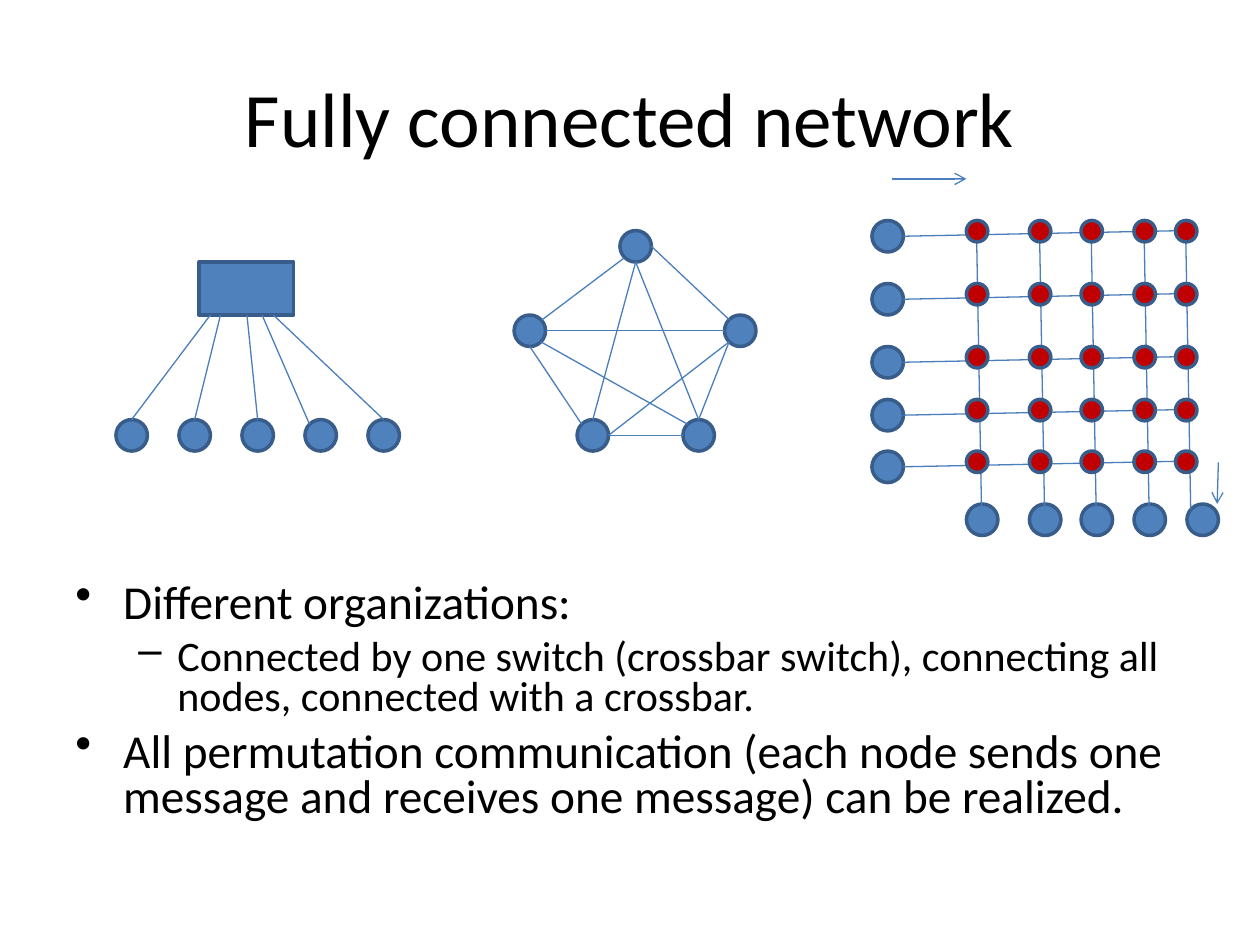
import math

from lxml import etree
from pptx import Presentation
from pptx import util as u
from pptx.dml import color
from pptx.enum import shapes, text
from pptx.oxml import ns

FONT = "Calibri"
BLACK, NODE, OUTLINE, LINK, CROSSPOINT = "000000", "4F81BD", "385D8A", "4A7EBB", "C00000"
NODE_SIZE, CROSSPOINT_SIZE = 0.25, 0.17
ANGLES = {"E": 0, "SE": 45, "S": 90, "SW": 135, "W": 180, "NW": 225, "N": 270}


def rgb(value):
    """Turn a hex string into a colour."""
    return color.RGBColor.from_string(value)


def add_block(slide, kind, left, top, width, height, fill=NODE):
    """Draw an outlined, filled shape."""
    block = slide.shapes.add_shape(kind, *map(u.Inches, (left, top, width, height)))
    block.shadow.inherit = False
    block.fill.solid()
    block.fill.fore_color.rgb = rgb(fill)
    block.line.color.rgb = rgb(OUTLINE)
    block.line.width = u.Pt(2)


def add_circle(slide, left, top, size=NODE_SIZE, fill=NODE):
    """Draw a round node or crosspoint."""
    add_block(slide, shapes.MSO_SHAPE.OVAL, left, top, size, size, fill)


def add_link(slide, start, end, arrow=False):
    """Draw a thin straight line, with an optional open arrowhead at its end."""
    link = slide.shapes.add_connector(
        shapes.MSO_CONNECTOR.STRAIGHT, *map(u.Inches, (*start, *end)))
    link.line.color.rgb = rgb(LINK)
    link.line.width = u.Pt(0.75)
    if arrow:
        etree.SubElement(link.line._get_or_add_ln(), ns.qn("a:tailEnd"), type="arrow")
    etree.SubElement(link._element.spPr, ns.qn("a:effectLst"))


def rim(left, top, side):
    """Give the point on a node's rim at a compass side."""
    radius, angle = NODE_SIZE / 2, math.radians(ANGLES[side])
    return (left + radius + radius * math.cos(angle),
            top + radius + radius * math.sin(angle))


def format_run(paragraph, size):
    """Set the font of a paragraph's runs."""
    for run in paragraph.runs:
        run.font.name = FONT
        run.font.size = u.Pt(size)
        run.font.color.rgb = rgb(BLACK)


def place_title(slide, left, top, width, height):
    """Place and format the slide title."""
    title = slide.shapes.title
    title.left, title.top, title.width, title.height = map(
        u.Inches, (left, top, width, height))
    title.text_frame.text = "Fully connected network"
    title.text_frame.vertical_anchor = text.MSO_ANCHOR.MIDDLE
    heading = title.text_frame.paragraphs[0]
    heading.alignment = text.PP_ALIGN.CENTER
    format_run(heading, 44)


def draw_switch_star(slide, left, top):
    """Draw one switch linked to five nodes below it."""
    add_block(slide, shapes.MSO_SHAPE.RECTANGLE, left + 0.66, top, 0.75, 0.42)
    node_top = top + 1.25
    ports = zip((0.75, 0.83, 1.04, 1.16, 1.25), ("N", "N", "N", "NW", "N"))
    for index, (port, side) in enumerate(ports):
        node_left = left + 0.5 * index
        add_circle(slide, node_left, node_top)
        add_link(slide, rim(node_left, node_top, side), (left + port, top + 0.42))


def draw_pentagon(slide, left, top):
    """Draw five nodes, each linked to all the others."""
    offsets = {"top": (0.84, 0), "right": (1.67, 0.67), "left": (0, 0.67),
               "low left": (0.5, 1.5), "low right": (1.34, 1.5)}
    nodes = {name: (left + x, top + y) for name, (x, y) in offsets.items()}
    links = [
        ("left", "S", "low left", "NW"),
        ("low left", "E", "low right", "W"),
        ("top", "E", "right", "NW"),
        ("low right", "N", "right", "SW"),
        ("left", "E", "right", "W"),
        ("left", "SE", "low right", "NW"),
        ("low left", "N", "top", "S"),
        ("low left", "E", "right", "SW"),
        ("top", "S", "low right", "N"),
    ]
    for node in nodes.values():
        add_circle(slide, *node)
    add_link(slide, (left + 0.22, top + 0.71), (left + 0.87, top + 0.22))
    for start, start_side, end, end_side in links:
        add_link(slide, rim(*nodes[start], start_side), rim(*nodes[end], end_side))


def draw_crossbar(slide, left, top):
    """Draw a crossbar with inputs at the left and outputs at the bottom."""
    columns = [left + x for x in (0.75, 1.25, 1.66, 2.08, 2.41)]
    rows = [top + y for y in (0.33, 0.83, 1.33, 1.75, 2.16)]
    outputs = columns[:-1] + [left + 2.5]
    for output in outputs:
        add_circle(slide, output, top + 2.58)
    for row in rows:
        add_circle(slide, left, row)
        add_link(slide, rim(left, row, "E"), (columns[-1] + 0.08, row + 0.08))
    for column in columns:
        add_link(slide, (column + 0.08, rows[0] + 0.08), (column + 0.12, top + 2.62))
    for row in rows:
        for column in columns:
            add_circle(slide, column, row, CROSSPOINT_SIZE, CROSSPOINT)
    add_link(slide, (left + 0.16, top), (left + 0.75, top), arrow=True)
    add_link(slide, (left + 2.75, top + 2.25), (left + 2.74, top + 2.58), arrow=True)


def write_points(slide, left, top, width, height):
    """Write the bulleted points."""
    points = [
        (0, "Different organizations:"),
        (1, "Connected by one switch (crossbar switch), connecting all nodes, "
            "connected with a crossbar."),
        (0, "All permutation communication (each node sends one message and "
            "receives one message) can be realized."),
    ]
    levels = [("•", 0.38, -0.38, 27, 6.8), ("–", 0.81, -0.31, 24, 6)]
    frame = slide.shapes.add_textbox(
        *map(u.Inches, (left, top, width, height))).text_frame
    frame.word_wrap = True
    for index, (level, wording) in enumerate(points):
        bullet, margin, indent, size, gap = levels[level]
        point = frame.add_paragraph() if index else frame.paragraphs[0]
        point.text = wording
        point.level = level
        properties = point._p.get_or_add_pPr()
        properties.set("marL", str(u.Inches(margin)))
        properties.set("indent", str(u.Inches(indent)))
        etree.SubElement(properties, ns.qn("a:buChar"), char=bullet)
        point.line_spacing = 0.8
        point.space_before = u.Pt(gap if index else 0)
        format_run(point, size)


def main():
    """Build and save the slide."""
    deck = Presentation()
    deck.slide_width, deck.slide_height = u.Inches(10), u.Inches(7.5)
    slide = deck.slides.add_slide(deck.slide_layouts[5])
    place_title(slide, 0.5, 0.3, 9, 1.25)
    write_points(slide, 0.5, 4.58, 9, 2.12)
    draw_switch_star(slide, 0.92, 2.08)
    draw_pentagon(slide, 4.08, 1.83)
    draw_crossbar(slide, 6.92, 1.42)
    deck.save("out.pptx")


if __name__ == "__main__":
    main()
